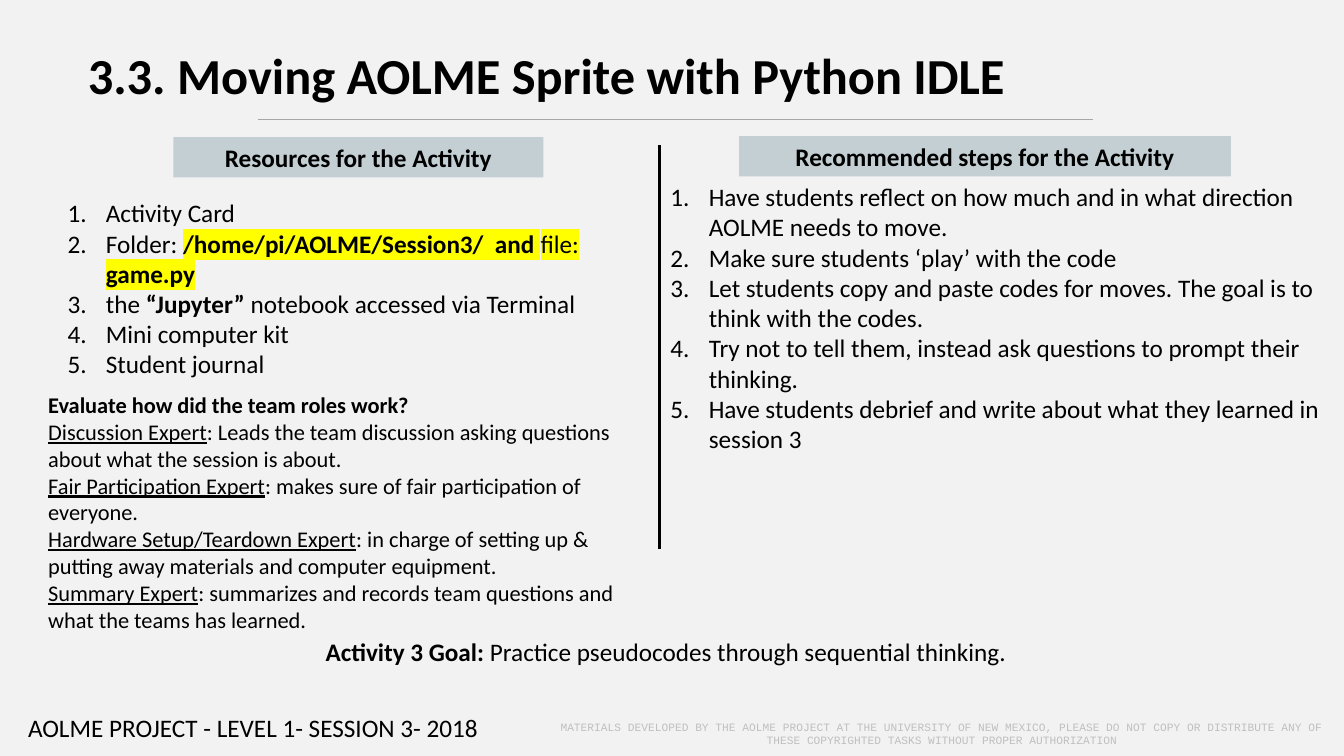
from lxml.etree import SubElement
from pptx import Presentation
from pptx.dml.color import RGBColor
from pptx.enum.shapes import MSO_CONNECTOR, MSO_SHAPE
from pptx.enum.text import MSO_ANCHOR, MSO_AUTO_SIZE, PP_ALIGN
from pptx.oxml.ns import qn
from pptx.util import Inches, Pt

COLORS = {"background": "F2F2F2", "text": "000000", "header": "C3CFD3",
          "rule": "A6A6A6", "notice": "BFBFBF", "highlight": "FFFF00"}

# A paragraph is a list of runs; a run is (text, marks):
# b = bold, u = underlined, h = highlighted.
TITLE = [[("3.3. Moving AOLME Sprite with Python IDLE", "b")]]
HEADERS = ["Resources for the Activity", "Recommended steps for the Activity"]
RESOURCES = [
    [("Activity Card", "")],
    [("Folder: ", ""), ("/home/pi/AOLME/Session3/  and ", "bh"),
     ("file: ", "h"), ("game.py", "bh")],
    [("the ", ""), ("“Jupyter” ", "b"), ("notebook accessed via Terminal", "")],
    [("Mini computer kit", "")],
    [("Student journal", "")],
]
STEPS = [[(step, "")] for step in (
    "Have students reflect on how much and in what direction AOLME needs to move.",
    "Make sure students ‘play’ with the code",
    "Let students copy and paste codes for moves. The goal is to think with the codes.",
    "Try not to tell them, instead ask questions to prompt their thinking.",
    "Have students debrief and write about what they learned in session 3",
)]
ROLES = [
    ("Discussion Expert",
     ": Leads the team discussion asking questions about what the session is about."),
    ("Fair Participation Expert", ": makes sure of fair participation of everyone."),
    ("Hardware Setup/Teardown Expert",
     ": in charge of setting up & putting away materials and computer equipment."),
    ("Summary Expert",
     ": summarizes and records team questions and what the teams has learned."),
]
EVALUATION = [[("Evaluate how did the team roles work?", "b")]]
EVALUATION += [[(role, "u"), (duty, "")] for role, duty in ROLES]
GOAL = [[("Activity 3 Goal: ", "b"),
         ("Practice pseudocodes through sequential thinking.", "")]]
FOOTER = [[("AOLME PROJECT - LEVEL 1- SESSION 3- 2018", "")]]
NOTICE = [[("MATERIALS DEVELOPED BY THE AOLME PROJECT AT THE UNIVERSITY OF NEW MEXICO, "
            "PLEASE DO NOT COPY OR DISTRIBUTE ANY OF THESE COPYRIGHTED TASKS WITHOUT "
            "PROPER AUTHORIZATION", "")]]

# Left, top, width, height in percent of the slide's width and height
PLACES = {
    "title": (5.78, 5.2, 90.1, 9.47),
    "headers": [(12.9, 18.13, 27.53, 5.33), (54.99, 18, 36.6, 5.33)],
    "resources": (4.2, 25.47, 43.6, 30.53),
    "steps": (49.06, 23.33, 50.8, 37.73),
    "evaluation": (2.85, 51.07, 44.94, 33.6),
    "goal": (23.48, 83.47, 63.1, 5.33),
    "footer": (1.35, 93.6, 35.86, 5.33),
    "notice": (40.44, 94.53, 59.34, 4.93),
}
# Start x, start y, end x, end y in percent, then colour and width in points
LINES = [(49.06, 19.2, 49.06, 72.67, "text", 2.25),
         (19.2, 15.87, 81.3, 15.87, "rule", 0.75)]

presentation = Presentation()
presentation.slide_width, presentation.slide_height = Inches(13.33), Inches(7.5)
slide = presentation.slides.add_slide(presentation.slide_layouts[3])


def rgb(name):
    return RGBColor.from_string(COLORS[name])


def to_lengths(percents):
    """Turn alternating x and y percentages into slide lengths."""
    sides = (presentation.slide_width, presentation.slide_height) * 2
    return [int(side * percent / 100) for side, percent in zip(sides, percents)]


def number_paragraph(paragraph):
    properties = paragraph._p.get_or_add_pPr()
    properties.set("marL", str(Inches(0.39)))
    properties.set("indent", str(-Inches(0.38)))
    SubElement(properties, qn("a:buFont"), typeface="+mj-lt")
    SubElement(properties, qn("a:buAutoNum"), type="arabicPeriod")


def highlight(run):
    properties = run._r.get_or_add_rPr()
    mark = SubElement(properties, qn("a:highlight"))
    SubElement(mark, qn("a:srgbClr"), val=COLORS["highlight"])
    properties.find(qn("a:solidFill")).addnext(mark)


def write(shape, paragraphs, size=18, font="Calibri", color="text",
          align=PP_ALIGN.LEFT, anchor=MSO_ANCHOR.TOP, numbered=False, wrap=True):
    frame = shape.text_frame
    frame.word_wrap = wrap
    frame.auto_size = MSO_AUTO_SIZE.NONE
    frame.vertical_anchor = anchor
    for index, runs in enumerate(paragraphs):
        paragraph = frame.add_paragraph() if index else frame.paragraphs[0]
        paragraph.alignment = align
        paragraph.space_before = Pt(0)
        if numbered:
            number_paragraph(paragraph)
        for text, marks in runs:
            run = paragraph.add_run()
            run.text = text
            run.font.size = Pt(size)
            run.font.name = font
            run.font.bold = "b" in marks
            run.font.underline = "u" in marks
            run.font.color.rgb = rgb(color)
            if "h" in marks:
                highlight(run)


def place(placeholder, name):
    (placeholder.left, placeholder.top,
     placeholder.width, placeholder.height) = to_lengths(PLACES[name])
    return placeholder


def add_text(name, paragraphs, **style):
    write(slide.shapes.add_textbox(*to_lengths(PLACES[name])), paragraphs, **style)


slide.background.fill.solid()
slide.background.fill.fore_color.rgb = rgb("background")

for *ends, color, width in LINES:
    line = slide.shapes.add_connector(MSO_CONNECTOR.STRAIGHT, *to_lengths(ends))
    line.line.color.rgb = rgb(color)
    line.line.width = Pt(width)
    SubElement(line._element.spPr, qn("a:effectLst"))

title, resources, steps = slide.placeholders
write(place(title, "title"), TITLE, size=36)
write(place(resources, "resources"), RESOURCES, numbered=True)
write(place(steps, "steps"), STEPS, numbered=True)

for header, percents in zip(HEADERS, PLACES["headers"]):
    box = slide.shapes.add_shape(MSO_SHAPE.RECTANGLE, *to_lengths(percents))
    box.shadow.inherit = False
    box.fill.solid()
    box.fill.fore_color.rgb = rgb("header")
    box.line.fill.background()
    write(box, [[(header, "b")]], align=PP_ALIGN.CENTER)

add_text("evaluation", EVALUATION, size=16)
add_text("goal", GOAL)
add_text("footer", FOOTER, wrap=False)
add_text("notice", NOTICE, size=8, font="Courier New", color="notice",
         align=PP_ALIGN.CENTER, anchor=MSO_ANCHOR.MIDDLE)

presentation.save("out.pptx")
